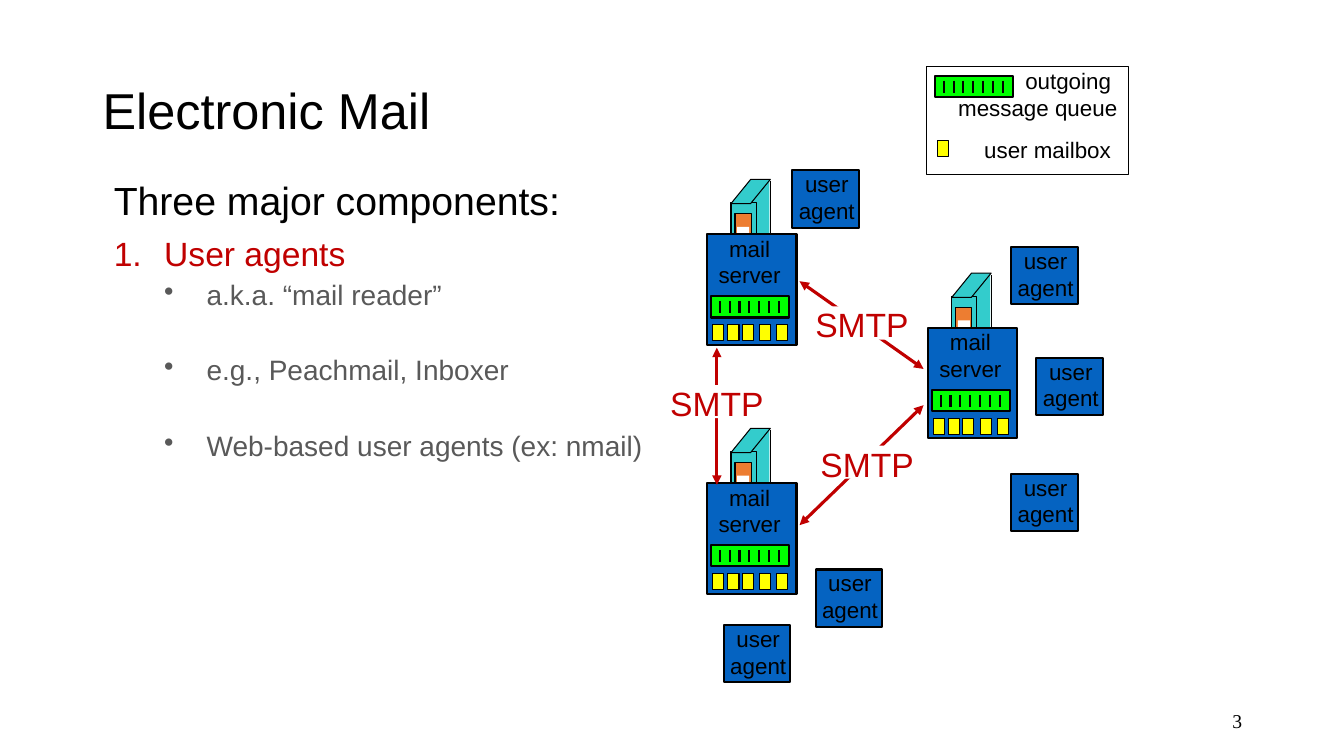
"""Build a slide on the components of electronic mail."""
from dataclasses import dataclass

from lxml import etree
from pptx import Presentation
from pptx.dml.color import RGBColor
from pptx.enum.shapes import MSO_CONNECTOR, MSO_SHAPE
from pptx.enum.text import MSO_ANCHOR, PP_ALIGN
from pptx.oxml.ns import qn
from pptx.util import Inches, Pt

RECT = MSO_SHAPE.RECTANGLE
PARALLELOGRAM = MSO_SHAPE.PARALLELOGRAM
STRAIGHT = MSO_CONNECTOR.STRAIGHT
LEFT, CENTER, RIGHT = PP_ALIGN.LEFT, PP_ALIGN.CENTER, PP_ALIGN.RIGHT
TOP, MIDDLE = MSO_ANCHOR.TOP, MSO_ANCHOR.MIDDLE

BLACK, WHITE, RED, GRAY = "000000", "FFFFFF", "C00000", "595959"
BLUE, TEAL, GREEN, YELLOW, ORANGE = "0563C1", "33CCCC", "00FF00", "FFFF00", "ED7D31"


@dataclass(frozen=True)
class Box:
    """A filled preset shape; a line width of 0 means no outline."""
    x: float
    y: float
    w: float
    h: float
    fill: str | None
    line: float = 0
    preset: MSO_SHAPE = RECT


@dataclass(frozen=True)
class Para:
    """One paragraph of text with its format."""
    text: str
    size: float = 16
    color: str = BLACK
    align: PP_ALIGN = CENTER
    font: str = "Arial"
    before: float = 0
    spacing: float | None = None
    margin: float = 0
    hanging: float = 0
    bullet: tuple[str, str, str] | None = None
    level: int = 0


@dataclass(frozen=True)
class Arrow:
    """A two-headed arrow and the corner of its label."""
    start: tuple[float, float]
    end: tuple[float, float]
    label: tuple[float, float]


TOWER = [
    Box(0.44, -0.53, 0.18, 0.78, TEAL),
    Box(0.24, -0.31, 0.25, 0.78, TEAL, 0.75),
    Box(0.24, -0.54, 0.39, 0.24, TEAL, 0.75, PARALLELOGRAM),
    Box(0.28, -0.2, 0.16, 0.45, ORANGE, 0.75),
    Box(0.3, -0.07, 0.12, 0.16, WHITE),
    Box(0, 0, 0.89, 1.1, BLUE, 1.5),
]
MAILBOX_OFFSETS = [0.06, 0.21, 0.35, 0.52, 0.69]
SERVERS = [(9.2, 3.25), (7.01, 4.79), (7.01, 2.32)]
AGENTS = [(10.03, 2.45), (10.28, 3.55), (10.03, 4.7), (8.09, 5.65), (7.18, 6.2), (7.86, 1.69)]
ARROWS = [
    Arrow((7.93, 2.79), (9.16, 3.66), (8.08, 3.04)),
    Arrow((7.93, 5.21), (9.16, 4.02), (8.13, 4.42)),
    Arrow((7.11, 4.81), (7.11, 3.45), (6.64, 3.82)),
]
NUMBER = ("a:buAutoNum", "type", "arabicPeriod")
DOT = ("a:buChar", "char", "•")
OUTLINE = [
    Para("Three major components:", 28, BLACK, LEFT, spacing=0.9, margin=0.5, hanging=0.5),
    Para("User agents", 24, RED, LEFT, before=10, spacing=0.9, margin=0.5, hanging=0.5, bullet=NUMBER),
] + [
    Para(text, 20, GRAY, LEFT, before=before, spacing=0.9, margin=0.92, hanging=0.42, bullet=DOT, level=1)
    for text, before in [
        ("a.k.a. “mail reader”", 5),
        ("e.g., Peachmail, Inboxer", 32.5),
        ("Web-based user agents (ex: nmail)", 32.5),
    ]
]


def rgb(color: str) -> RGBColor:
    """Turn a hex string into a colour."""
    return RGBColor.from_string(color)


def draw_box(slide, box: Box, x: float = 0, y: float = 0) -> None:
    """Draw a box shifted by x and y."""
    shape = slide.shapes.add_shape(
        box.preset, Inches(x + box.x), Inches(y + box.y), Inches(box.w), Inches(box.h))
    shape.shadow.inherit = False
    if box.preset == PARALLELOGRAM:
        shape.adjustments[0] = 0.814
    if box.fill:
        shape.fill.solid()
        shape.fill.fore_color.rgb = rgb(box.fill)
    else:
        shape.fill.background()
    if box.line:
        shape.line.color.rgb = rgb(BLACK)
        shape.line.width = Pt(box.line)
    else:
        shape.line.fill.background()


def draw_line(slide, start: tuple[float, float], end: tuple[float, float],
              width: float, color: str = BLACK, arrows: bool = False) -> None:
    """Draw a straight line, with heads at both ends if asked."""
    line = slide.shapes.add_connector(STRAIGHT, *(Inches(v) for v in start + end))
    line.line.color.rgb = rgb(color)
    line.line.width = Pt(width)
    if arrows:
        outline = line.line._get_or_add_ln()
        for tip in ("a:headEnd", "a:tailEnd"):
            etree.SubElement(outline, qn(tip), type="triangle")
    etree.SubElement(line._element.spPr, qn("a:effectLst"))


def draw_text(slide, x: float, y: float, w: float, h: float, paras: list[Para],
              anchor: MSO_ANCHOR = TOP, wrap: bool = False) -> None:
    """Draw a text box holding the given paragraphs."""
    frame = slide.shapes.add_textbox(Inches(x), Inches(y), Inches(w), Inches(h)).text_frame
    frame.word_wrap = wrap
    frame.vertical_anchor = anchor
    for index, para in enumerate(paras):
        paragraph = frame.add_paragraph() if index else frame.paragraphs[0]
        paragraph.alignment = para.align
        paragraph.level = para.level
        if para.margin:
            properties = paragraph._p.get_or_add_pPr()
            properties.set("marL", str(Inches(para.margin)))
            properties.set("indent", str(-Inches(para.hanging)))
            if para.bullet:
                tag, key, value = para.bullet
                etree.SubElement(properties, qn(tag), {key: value})
        if para.spacing:
            paragraph.line_spacing = para.spacing
        if para.before:
            paragraph.space_before = Pt(para.before)
        run = paragraph.add_run()
        run.text = para.text
        run.font.name = para.font
        run.font.size = Pt(para.size)
        run.font.color.rgb = rgb(para.color)


def draw_queue(slide, x: float, y: float) -> None:
    """Draw a message queue with its seven ticks."""
    draw_box(slide, Box(x, y, 0.78, 0.21, GREEN, 1.5))
    for index in range(7):
        tick = x + 0.09 + index * 0.0975
        draw_line(slide, (tick, y + 0.05), (tick, y + 0.17), 1.5)


def draw_mailbox(slide, x: float, y: float) -> None:
    """Draw one user mailbox."""
    draw_box(slide, Box(x, y, 0.11, 0.16, YELLOW, 0.75))


def draw_server(slide, x: float, y: float) -> None:
    """Draw a mail server whose front starts at x and y."""
    for part in TOWER[:-1]:
        draw_box(slide, part, x, y)
    draw_line(slide, (x + 0.63, y - 0.52), (x + 0.63, y + 0.25), 0.75)
    draw_box(slide, TOWER[-1], x, y)
    draw_text(slide, x + 0.01, y - 0.04, 0.83, 0.64, [Para("mail"), Para("server")])
    draw_queue(slide, x + 0.04, y + 0.62)
    for offset in MAILBOX_OFFSETS:
        draw_mailbox(slide, x + offset, y + 0.9)


def draw_agent(slide, x: float, y: float) -> None:
    """Draw a user agent."""
    draw_box(slide, Box(x, y, 0.66, 0.57, BLUE, 1.5))
    draw_text(slide, x - 0.05, y - 0.05, 0.78, 0.64, [Para("user"), Para("agent")])


def draw_legend(slide) -> None:
    """Draw the legend for queues and mailboxes."""
    draw_box(slide, Box(9.19, 0.66, 2, 1.07, None, 0.75))
    draw_text(slide, 9.63, 1.3, 1.52, 0.37, [Para("user mailbox")])
    draw_queue(slide, 9.27, 0.75)
    draw_mailbox(slide, 9.3, 1.39)
    draw_text(slide, 9.38, 0.62, 1.8, 0.64,
              [Para("outgoing ", align=RIGHT), Para("message queue", align=RIGHT)])


def main() -> None:
    """Build and save the slide."""
    deck = Presentation()
    deck.slide_width, deck.slide_height = Inches(13.33), Inches(7.5)
    slide = deck.slides.add_slide(deck.slide_layouts[6])
    draw_text(slide, 9.42, 6.95, 3, 0.4,
              [Para("3", 14, align=RIGHT, font="Times New Roman")], MIDDLE, True)
    draw_text(slide, 0.92, 0.4, 11.5, 1.45,
              [Para("Electronic Mail", 36, align=LEFT, spacing=0.9)], MIDDLE, True)
    draw_text(slide, 1.03, 1.75, 5.52, 5.08, OUTLINE, wrap=True)
    draw_legend(slide)
    for server in SERVERS:
        draw_server(slide, *server)
    for agent in AGENTS:
        draw_agent(slide, *agent)
    for arrow in ARROWS:
        draw_line(slide, arrow.start, arrow.end, 2.25, RED, True)
    for arrow in ARROWS:
        x, y = arrow.label
        draw_box(slide, Box(x, y, 0.94, 0.33, WHITE))
        draw_text(slide, x - 0.1, y - 0.07, 1.14, 0.51, [Para("SMTP", 24, RED)])
    deck.save("out.pptx")


if __name__ == "__main__":
    main()
